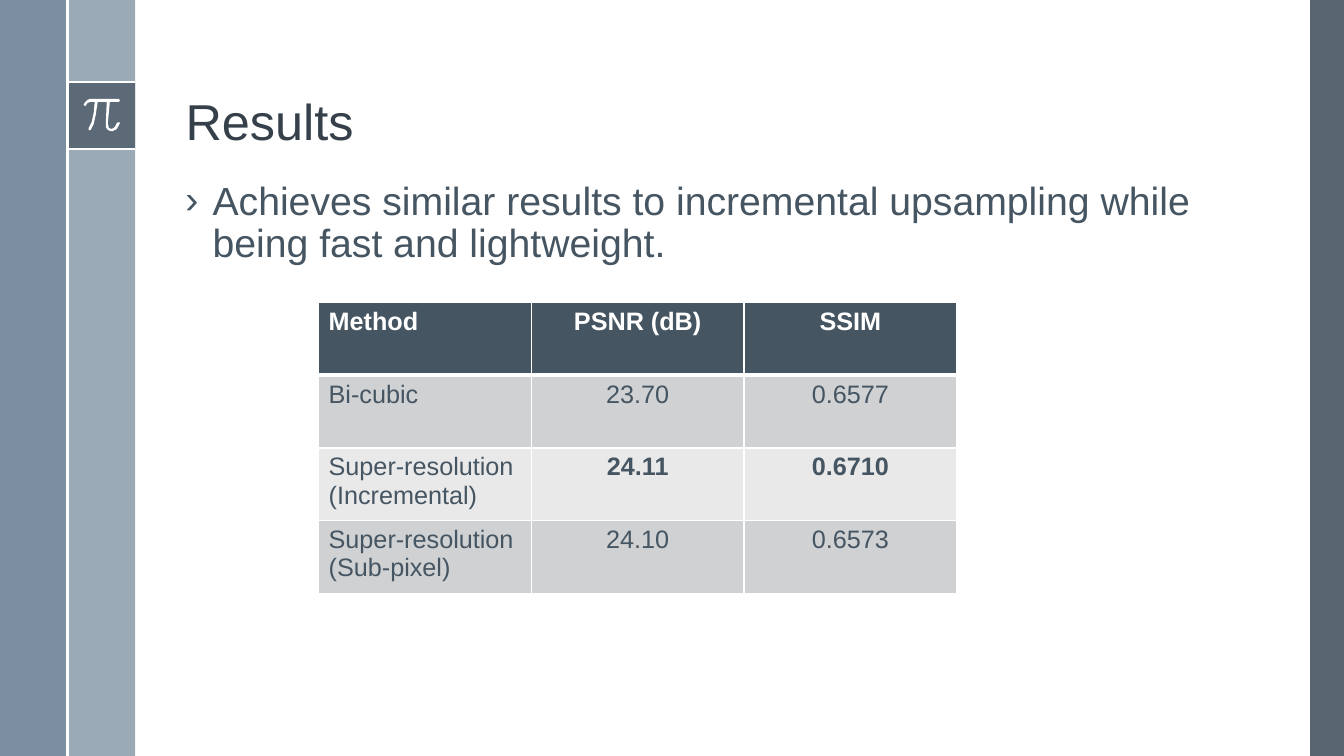
import pptx
import pptx.dml.color
import pptx.enum.shapes
import pptx.enum.text
import pptx.oxml
import pptx.oxml.ns
import pptx.util
from lxml import etree

Inches = pptx.util.Inches
Pt = pptx.util.Pt
qn = pptx.oxml.ns.qn

FONT = "Arial"
COLORS = {
    "white": "FFFFFF", "title": "35404A", "text": "465562", "slate": "475562",
    "steel": "6A8093", "mist": "9BAAB7", "odd_row": "CFD1D3", "even_row": "E9E9EA",
}
ROWS = [
    ("Method", "PSNR (dB)", "SSIM"),
    ("Bi-cubic", "23.70", "0.6577"),
    ("Super-resolution\n(Incremental)", "24.11", "0.6710"),
    ("Super-resolution (Sub-pixel)", "24.10", "0.6573"),
]
BEST_ROW = 2
# Outline of the pi sign in inches, relative to its top left corner
PI_OUTLINE = [
    (0.35, 0), (0.07, 0), (0.04, 0.01), (0.01, 0.04), (0, 0.06), (0.01, 0.07),
    (0.02, 0.07), (0.04, 0.04), (0.07, 0.03), (0.11, 0.03), (0.1, 0.14),
    (0.08, 0.23), (0.05, 0.29), (0.05, 0.31), (0.07, 0.31), (0.1, 0.25),
    (0.12, 0.16), (0.14, 0.03), (0.23, 0.03), (0.22, 0.24), (0.22, 0.28),
    (0.24, 0.31), (0.27, 0.32), (0.29, 0.32), (0.33, 0.3), (0.36, 0.24),
    (0.35, 0.23), (0.33, 0.24), (0.31, 0.28), (0.28, 0.3), (0.25, 0.29),
    (0.24, 0.24), (0.26, 0.03), (0.35, 0.03), (0.36, 0.02),
]


def color(name):
    return pptx.dml.color.RGBColor.from_string(COLORS[name])


def style_font(font, size, name, bold=False):
    font.name = FONT
    font.size = Pt(size)
    font.bold = bold
    font.color.rgb = color(name)


def fill_shape(shape, name, opacity=100):
    """Give a shape a plain fill, with opacity in percent, and no outline."""
    shape.shadow.inherit = False
    shape.fill.solid()
    shape.fill.fore_color.rgb = color(name)
    shape.line.fill.background()
    if opacity < 100:
        tint = shape.fill._xPr.find(qn("a:solidFill"))[0]
        etree.SubElement(tint, qn("a:alpha"), val=str(opacity * 1000))


def add_panel(page, left, top, width, height, name, opacity=100):
    panel = page.shapes.add_shape(
        pptx.enum.shapes.MSO_SHAPE.RECTANGLE,
        Inches(left), Inches(top), Inches(width), Inches(height))
    fill_shape(panel, name, opacity)


def add_rule(page, start_x, start_y, end_x, end_y):
    rule = page.shapes.add_connector(
        pptx.enum.shapes.MSO_CONNECTOR.STRAIGHT,
        Inches(start_x), Inches(start_y), Inches(end_x), Inches(end_y))
    rule.line.color.rgb = color("white")
    rule.line.width = Pt(1.5)
    etree.SubElement(rule._element.spPr, qn("a:effectLst"))


def add_pi(page, left, top):
    points = [(Inches(left + x), Inches(top + y)) for x, y in PI_OUTLINE]
    builder = page.shapes.build_freeform(*points[0])
    builder.add_line_segments(points[1:], close=True)
    fill_shape(builder.convert_to_shape(), "white")


def add_side_bands(page, width, height):
    band = 0.67
    badge_top = 0.81
    add_panel(page, width - band / 2, 0, band / 2, height, "slate", 90)
    add_panel(page, band, 0, band, height, "mist")
    add_panel(page, 0, 0, band, height, "steel", 88)
    add_panel(page, band, badge_top, band, band, "slate", 75)
    for y in (badge_top, badge_top + band):
        add_rule(page, band, y, 2 * band, y)
    add_pi(page, band + 0.16, badge_top + 0.17)
    add_rule(page, band, 0, band, height)


def set_title(page, left, top, width, height):
    title = page.shapes.title
    title.left, title.top = Inches(left), Inches(top)
    title.width, title.height = Inches(width), Inches(height)
    frame = title.text_frame
    frame.text = "Results"
    frame.vertical_anchor = pptx.enum.text.MSO_ANCHOR.BOTTOM
    para = frame.paragraphs[0]
    para.alignment = pptx.enum.text.PP_ALIGN.LEFT
    para.line_spacing = 0.9
    style_font(para.runs[0].font, 36, "title")


def add_body(page, left, top, width, height):
    box = page.shapes.add_textbox(
        Inches(left), Inches(top), Inches(width), Inches(height))
    frame = box.text_frame
    frame.word_wrap = True
    frame.text = ("Achieves similar results to incremental upsampling while "
                  "being fast and lightweight.")
    para = frame.paragraphs[0]
    para.line_spacing = 0.9
    properties = para._p.get_or_add_pPr()
    properties.set("marL", str(Inches(0.27)))
    properties.set("indent", str(Inches(-0.27)))
    etree.SubElement(properties, qn("a:buFont"), typeface=FONT)
    etree.SubElement(properties, qn("a:buChar"), char="›")
    style_font(para.runs[0].font, 28, "text")


def set_borders(cell, row):
    widths = {"L": 1, "R": 1, "T": 3 if row == 1 else 1, "B": 3 if row == 0 else 1}
    properties = cell._tc.get_or_add_tcPr()
    for side, width in widths.items():
        line = etree.SubElement(properties, qn(f"a:ln{side}"), w=str(Pt(width)))
        fill = etree.SubElement(line, qn("a:solidFill"))
        etree.SubElement(fill, qn("a:srgbClr"), val=COLORS["white"])


def fill_cell(cell, text, row, column):
    set_borders(cell, row)
    cell.fill.solid()
    fill = "text" if row == 0 else "odd_row" if row % 2 else "even_row"
    cell.fill.fore_color.rgb = color(fill)
    cell.text_frame.text = text
    bold = row == 0 or (row == BEST_ROW and column > 0)
    for para in cell.text_frame.paragraphs:
        if column > 0:
            para.alignment = pptx.enum.text.PP_ALIGN.CENTER
        style_font(para.runs[0].font, 18, "white" if row == 0 else "text", bold)


def add_results_table(page, left, top, width, height):
    table = page.shapes.add_table(
        len(ROWS), len(ROWS[0]),
        Inches(left), Inches(top), Inches(width), Inches(height)).table
    for row, texts in enumerate(ROWS):
        for column, text in enumerate(texts):
            fill_cell(table.cell(row, column), text, row, column)


def main():
    deck = pptx.Presentation()
    width, height = 13.33, 7.5
    deck.slide_width, deck.slide_height = Inches(width), Inches(height)
    page = deck.slides.add_slide(deck.slide_layouts.get_by_name("Title Only"))
    add_side_bands(page, width, height)
    set_title(page, 1.74, 0.19, 10.7, 1.36)
    add_body(page, 1.74, 1.75, 10.7, 5)
    add_results_table(page, 3.16, 3, 6.33, 2.89)
    deck.save("out.pptx")


if __name__ == "__main__":
    main()
